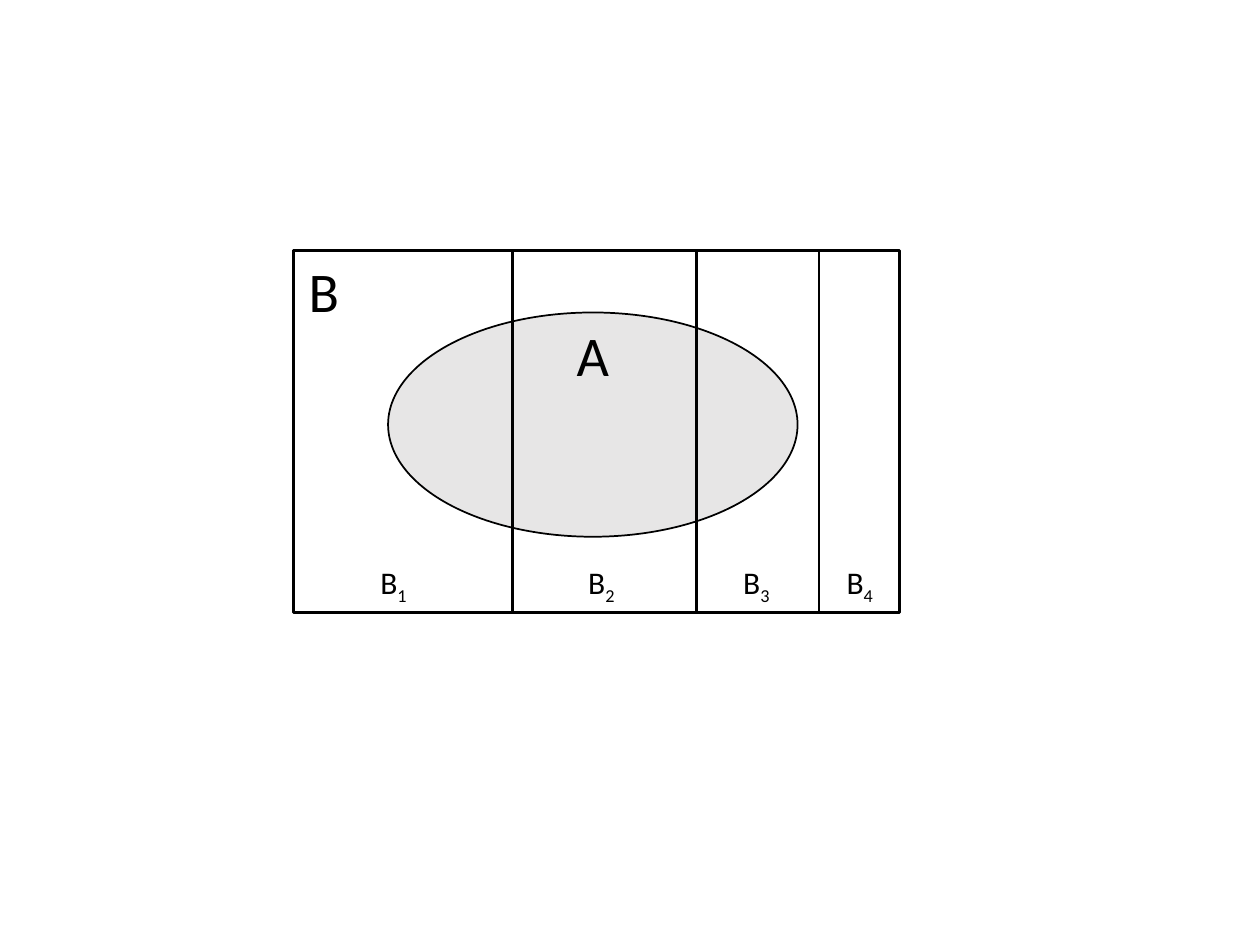
from lxml import etree
from pptx import Presentation
from pptx.dml.color import RGBColor
from pptx.enum.shapes import MSO_CONNECTOR, MSO_SHAPE
from pptx.enum.text import MSO_ANCHOR, MSO_AUTO_SIZE, PP_ALIGN
from pptx.oxml.ns import qn
from pptx.util import Inches, Pt

RECTANGLE, OVAL = MSO_SHAPE.RECTANGLE, MSO_SHAPE.OVAL
STRAIGHT = MSO_CONNECTOR.STRAIGHT
MIDDLE = MSO_ANCHOR.MIDDLE
CENTER, LEFT = PP_ALIGN.CENTER, PP_ALIGN.LEFT
FIT_SHAPE = MSO_AUTO_SIZE.SHAPE_TO_FIT_TEXT

FONT = "Calibri"
BLACK, LIGHT_GRAY = "000000", "E7E6E6"


def color(hex_string):
    return RGBColor.from_string(hex_string)


def write_text(text_frame, text, size=18, subscript="", alignment=LEFT):
    paragraph = text_frame.paragraphs[0]
    paragraph.alignment = alignment
    for part, baseline in ((text, None), (subscript, "-25000")):
        if not part:
            continue
        run = paragraph.add_run()
        run.text = part
        run.font.name = FONT
        run.font.size = Pt(size)
        run.font.color.rgb = color(BLACK)
        if baseline:
            run._r.get_or_add_rPr().set("baseline", baseline)


def add_outline(group, kind, left, top, width, height, line_width, fill=None):
    shape = group.shapes.add_shape(
        kind, Inches(left), Inches(top), Inches(width), Inches(height))
    shape.shadow.inherit = False
    shape.line.color.rgb = color(BLACK)
    shape.line.width = Pt(line_width)
    if fill:
        shape.fill.solid()
        shape.fill.fore_color.rgb = color(fill)
    else:
        shape.fill.background()
    return shape


def add_divider(group, x, top, bottom):
    line = group.shapes.add_connector(
        STRAIGHT, Inches(x), Inches(top), Inches(x), Inches(bottom))
    line.line.color.rgb = color(BLACK)
    line.line.width = Pt(1.5)
    etree.SubElement(line._element.spPr, qn("a:effectLst"))


def add_label(group, left, top, width, height, text, **text_format):
    box = group.shapes.add_textbox(
        Inches(left), Inches(top), Inches(width), Inches(height))
    box.text_frame.word_wrap = False
    box.text_frame.auto_size = FIT_SHAPE
    write_text(box.text_frame, text, **text_format)


def add_partition_diagram(slide, left, top, width, height):
    """Draw set B, split into parts B1 to B4, with event A across them."""
    group = slide.shapes.add_group_shape()
    add_outline(group, RECTANGLE, left, top, width, height, 1.5)

    event = add_outline(group, OVAL, left + 0.75, top + 0.49, 3.25, 1.78, 1,
                        fill=LIGHT_GRAY)
    event.text_frame.vertical_anchor = MIDDLE
    event.text_frame.margin_bottom = Inches(1.17)  # lifts the letter to the top
    write_text(event.text_frame, "A", size=32, alignment=CENTER)

    for offset in (1.74, 3.2, 4.17):
        add_divider(group, left + offset, top, top + height)
    for number, offset in enumerate((0.59, 2.24, 3.47, 4.29), start=1):
        add_label(group, left + offset, top + 2.43, 0.42, 0.4, "B",
                  subscript=str(number))
    add_label(group, left + 0.02, top, 0.45, 0.64, "B", size=32)


def main():
    presentation = Presentation()
    presentation.slide_width = Inches(10)
    presentation.slide_height = Inches(7.5)
    slide = presentation.slides.add_slide(presentation.slide_layouts[6])
    add_partition_diagram(slide, 2.33, 1.99, 4.81, 2.87)
    presentation.save("out.pptx")


if __name__ == "__main__":
    main()
